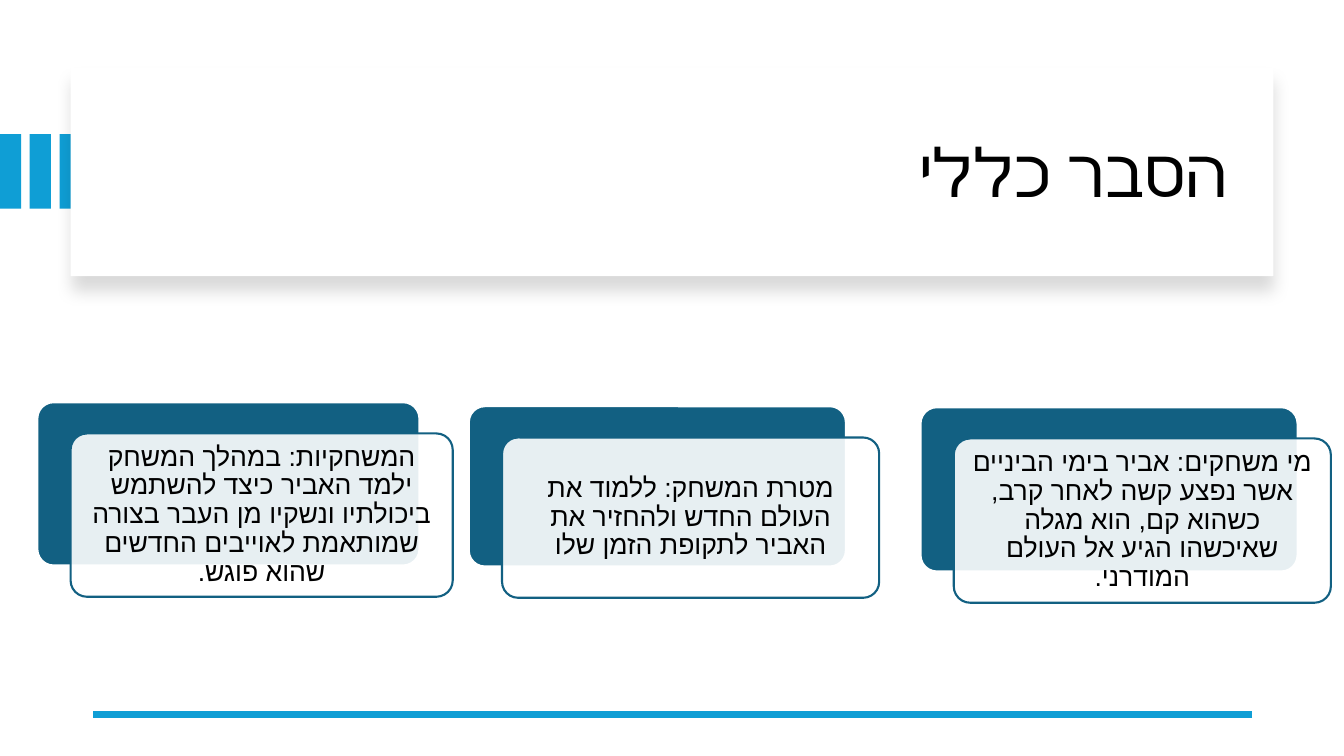
"""Build the Hebrew game overview slide with a title panel and three cards."""
import dataclasses
from typing import Any

import lxml.etree
import pptx
import pptx.dml.color
import pptx.enum.shapes
import pptx.enum.text
import pptx.oxml
import pptx.oxml.ns
import pptx.util

Inches = pptx.util.Inches
SHAPES = pptx.enum.shapes.MSO_SHAPE
ALIGN = pptx.enum.text.PP_ALIGN
COLORS = {"accent": "0F9ED5", "card": "126082", "paper": "FFFFFF", "ink": "000000"}


@dataclasses.dataclass(frozen=True)
class Box:
    left: float
    top: float
    width: float
    height: float

    def shifted(self, right: float, down: float) -> "Box":
        return dataclasses.replace(self, left=self.left + right, top=self.top + down)

    def lengths(self) -> list[int]:
        return [Inches(value) for value in dataclasses.astuple(self)]


@dataclasses.dataclass(frozen=True)
class Card:
    box: Box
    text: str


@dataclasses.dataclass(frozen=True)
class TextStyle:
    font: str
    size: int
    align: Any
    inset_x: float
    inset_y: float


TITLE_STYLE = TextStyle("Open Sans", 48, ALIGN.RIGHT, 0.1, 0.05)
CARD_STYLE = TextStyle("Arial", 19, ALIGN.CENTER, 0.13, 0.13)
STRIPES = [Box(index * 0.295, 1.33, 0.21, 0.74) for index in range(3)]
PANEL = Box(0.7, 0.67, 11.93, 2.07)
TITLE = Box(1.14, 0.89, 11.13, 1.7)
CARDS = [
    Card(Box(9.13, 4.04, 3.74, 1.63),
         "מי משחקים: אביר בימי הביניים אשר נפצע קשה לאחר קרב, כשהוא קם, "
         "הוא מגלה שאיכשהו הגיע אל העולם המודרני."),
    Card(Box(4.65, 4.03, 3.74, 1.59),
         "מטרת המשחק: ללמוד את העולם החדש ולהחזיר את האביר לתקופת הזמן שלו"),
    Card(Box(0.37, 3.99, 3.79, 1.62),
         "המשחקיות: במהלך המשחק ילמד האביר כיצד להשתמש ביכולתיו ונשקיו מן העבר "
         "בצורה שמותאמת לאוייבים החדשים שהוא פוגש."),
]


def rgb(name: str) -> pptx.dml.color.RGBColor:
    return pptx.dml.color.RGBColor.from_string(COLORS[name])


def add_child(parent: Any, tag: str, **attributes: str) -> Any:
    return lxml.etree.SubElement(parent, pptx.oxml.ns.qn(tag), attributes)


def set_all(target: Any, values: dict[str, Any]) -> None:
    for name, value in values.items():
        setattr(target, name, value)


def add_block(slide: Any, box: Box, fill: str, outline: str = "") -> Any:
    kind = SHAPES.ROUNDED_RECTANGLE if outline else SHAPES.RECTANGLE
    block = slide.shapes.add_shape(kind, *box.lengths())
    block.shadow.inherit = False
    block.fill.solid()
    block.fill.fore_color.rgb = rgb(fill)
    if outline:
        block.adjustments[0] = 0.1
        block.line.color.rgb = rgb(outline)
        block.line.width = pptx.util.Pt(1.5)
    else:
        block.line.fill.background()
    return block


def write_hebrew(holder: Any, text: str, style: TextStyle) -> None:
    frame = holder.text_frame
    set_all(frame, {
        "word_wrap": True,
        "vertical_anchor": pptx.enum.text.MSO_ANCHOR.MIDDLE,
        "margin_left": Inches(style.inset_x),
        "margin_right": Inches(style.inset_x),
        "margin_top": Inches(style.inset_y),
        "margin_bottom": Inches(style.inset_y),
    })
    paragraph = frame.paragraphs[0]
    set_all(paragraph, {"alignment": style.align, "line_spacing": 0.9})
    paragraph._p.get_or_add_pPr().set("rtl", "1")
    run = paragraph.add_run()
    run.text = text
    set_all(run.font, {"name": style.font, "size": pptx.util.Pt(style.size)})
    run.font.color.rgb = rgb("ink")
    add_child(run.font._element, "a:cs", typeface=style.font)


def add_panel(slide: Any) -> None:
    panel = add_block(slide, PANEL, "paper")
    effects = panel._element.spPr.find(pptx.oxml.ns.qn("a:effectLst"))
    shadow = add_child(effects, "a:outerShdw", blurRad=str(pptx.util.Pt(11)),
                       dist=str(pptx.util.Pt(10)), dir="5400000", rotWithShape="0")
    tint = add_child(shadow, "a:srgbClr", val=COLORS["ink"])
    add_child(tint, "a:alpha", val="15000")


def add_card(slide: Any, card: Card) -> None:
    add_block(slide, card.box, "card", "paper")
    front = add_block(slide, card.box.shifted(0.33, 0.31), "paper", "card")
    tint = front.fill._xPr.find(".//" + pptx.oxml.ns.qn("a:srgbClr"))
    add_child(tint, "a:alpha", val="90000")
    write_hebrew(front, card.text, CARD_STYLE)


def add_footer_rule(slide: Any) -> None:
    rule = slide.shapes.add_connector(
        pptx.enum.shapes.MSO_CONNECTOR.STRAIGHT,
        Inches(12.42), Inches(7.09), Inches(0.92), Inches(7.09))
    rule.line.color.rgb = rgb("accent")
    rule.line.width = pptx.util.Pt(4.5)
    add_child(rule._element.spPr, "a:effectLst")


def main() -> None:
    deck = pptx.Presentation()
    set_all(deck, {"slide_width": Inches(13.33), "slide_height": Inches(7.5)})
    slide = deck.slides.add_slide(deck.slide_layouts[6])
    for stripe in STRIPES:
        add_block(slide, stripe, "accent")
    add_panel(slide)
    write_hebrew(slide.shapes.add_textbox(*TITLE.lengths()), "הסבר כללי", TITLE_STYLE)
    add_footer_rule(slide)
    for card in CARDS:
        add_card(slide, card)
    deck.save("out.pptx")


if __name__ == "__main__":
    main()
